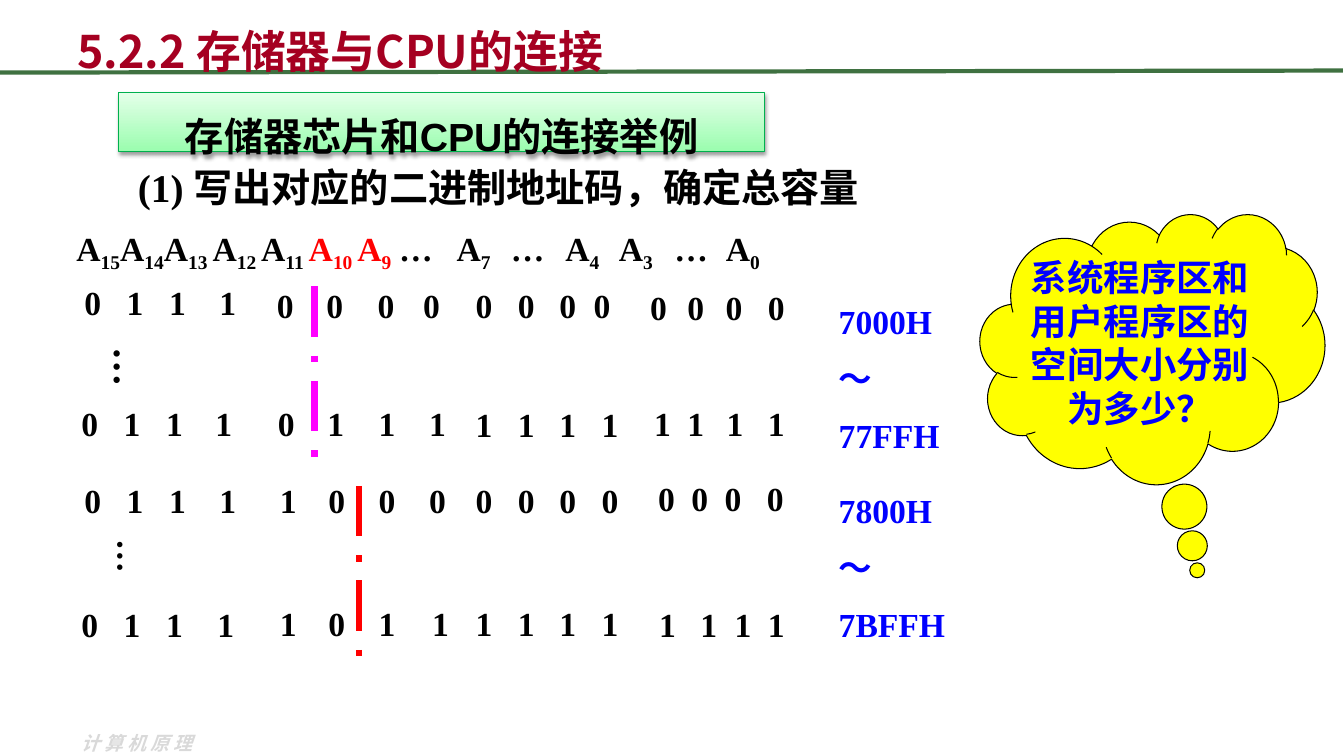
from lxml import etree
from pptx import Presentation
from pptx.dml.color import RGBColor
from pptx.enum.dml import MSO_LINE
from pptx.enum.shapes import MSO_CONNECTOR, MSO_SHAPE
from pptx.enum.text import MSO_ANCHOR, PP_ALIGN
from pptx.oxml.ns import qn
from pptx.util import Pt

PX = 9144  # EMU per px, 100 px to the inch

BLACK = RGBColor(0x00, 0x00, 0x00)
BLUE = RGBColor(0x00, 0x00, 0xFF)
RED = RGBColor(0xFF, 0x00, 0x00)
MAGENTA = RGBColor(0xFF, 0x00, 0xFF)
YELLOW = RGBColor(0xFF, 0xFF, 0x00)
CRIMSON = RGBColor(0xA5, 0x00, 0x21)
RULE_GREEN = RGBColor(0x3F, 0x71, 0x41)
BANNER_EDGE = RGBColor(0x00, 0xB0, 0x4E)
BANNER_TOP = RGBColor(0xE4, 0xFF, 0xE9)
BANNER_BOTTOM = RGBColor(0x9B, 0xFD, 0xAF)
FOOTER_GRAY = RGBColor(0xD9, 0xD9, 0xD9)

SANS, SERIF, ARIAL = "Noto Sans CJK SC", "Times New Roman", "Arial"
TOP, MIDDLE, BOTTOM = MSO_ANCHOR.TOP, MSO_ANCHOR.MIDDLE, MSO_ANCHOR.BOTTOM
LEFT, CENTER = PP_ALIGN.LEFT, PP_ALIGN.CENTER
RECTANGLE, CLOUD = MSO_SHAPE.RECTANGLE, MSO_SHAPE.CLOUD_CALLOUT
STRAIGHT, DASH_DOT = MSO_CONNECTOR.STRAIGHT, MSO_LINE.LONG_DASH_DOT

# Each row of address bits has four groups: digits, top, digit centres
NIBBLE_LEFTS = (71, 256, 454, 639)
BIT_ROWS = (
    (("0111", 275, (92, 134, 176, 226)), ("0000", 278, (283, 332, 383, 428)),
     ("0000", 278, (480, 522, 563, 597)), ("0000", 280, (653, 690, 728, 770))),
    (("0111", 395, (89, 131, 173, 222)), ("0111", 395, (284, 333, 384, 434)),
     ("1111", 396, (480, 522, 563, 605)), ("1111", 395, (657, 690, 729, 770))),
    (("0111", 471, (92, 134, 176, 226)), ("1000", 471, (286, 334, 384, 434)),
     ("0000", 471, (480, 522, 563, 605)), ("0000", 469, (661, 694, 727, 769))),
    (("0111", 594, (89, 131, 173, 224)), ("1011", 593, (286, 334, 384, 437)),
     ("1111", 593, (480, 522, 563, 605)), ("1111", 594, (662, 703, 737, 770))),
)

# Address line names: letter, subscript, colour
ADDRESS_LINES = (
    ("A", "15", BLACK), ("A", "14", BLACK), ("A", "13 ", BLACK),
    ("A", "12 ", BLACK), ("A", "11 ", BLACK), ("A", "10 ", RED),
    ("A", "9", RED), ("\t…\tA", "7", BLACK), ("\t…\tA", "4", BLACK),
    ("\tA", "3", BLACK), ("\t…\tA", "0", BLACK),
)
ADDRESS_TABS = (320, 377, 431, 485, 538, 593, 644)


def add_run(paragraph, text, size, font, color):
    run = paragraph.add_run()
    run.text = text
    run.font.size = Pt(size)
    run.font.bold = True
    run.font.color.rgb = color
    run.font.name = font
    properties = run._r.get_or_add_rPr()
    etree.SubElement(properties, qn("a:ea")).set("typeface", SANS)
    return run


def set_tabs(paragraph, positions, align):
    tab_list = etree.SubElement(paragraph._p.get_or_add_pPr(), qn("a:tabLst"))
    for position in positions:
        tab = etree.SubElement(tab_list, qn("a:tab"))
        tab.set("pos", str(position * PX))
        tab.set("algn", align)


def set_frame(frame, anchor=TOP, inset_x=10, inset_y=5):
    frame.word_wrap = True
    frame.vertical_anchor = anchor
    frame.margin_left = frame.margin_right = inset_x * PX
    frame.margin_top = frame.margin_bottom = inset_y * PX


def add_box(slide, left, top, width, height, anchor=TOP, inset_x=10):
    box = slide.shapes.add_textbox(left * PX, top * PX, width * PX, height * PX)
    set_frame(box.text_frame, anchor, inset_x)
    return box.text_frame


def add_label(slide, text, bounds, size, font, color, anchor=TOP, spacing=None):
    frame = add_box(slide, *bounds, anchor=anchor)
    paragraph = frame.paragraphs[0]
    paragraph.line_spacing = spacing
    return add_run(paragraph, text, size, font, color)


def add_line(slide, start, end, color, width, dash=None):
    line = slide.shapes.add_connector(
        STRAIGHT, start[0] * PX, start[1] * PX, end[0] * PX, end[1] * PX)
    line.line.color.rgb = color
    line.line.width = Pt(width)
    if dash is not None:
        line.line.dash_style = dash
    etree.SubElement(line._element.spPr, qn("a:effectLst"))


def add_text_shape(slide, kind, bounds, edge, text, size, font, color, inset):
    shape = slide.shapes.add_shape(kind, *(value * PX for value in bounds))
    shape.line.color.rgb = edge
    shape.line.width = Pt(0.75)
    shape.shadow.inherit = False
    set_frame(shape.text_frame, MIDDLE, *inset)
    paragraph = shape.text_frame.paragraphs[0]
    paragraph.alignment = CENTER
    add_run(paragraph, text, size, font, color)
    return shape


def add_banner(slide):
    banner = add_text_shape(slide, RECTANGLE, (118, 92, 640, 58), BANNER_EDGE,
                            "存储器芯片和CPU的连接举例", 28, ARIAL, BLACK, (10, 5))
    banner.text_frame.paragraphs[0].line_spacing = 1.6
    banner.fill.gradient()
    banner.fill.gradient_angle = 270
    for stop, color in zip(banner.fill.gradient_stops, (BANNER_TOP, BANNER_BOTTOM)):
        stop.color.rgb = color
    effects = banner._element.spPr.find(qn("a:effectLst"))
    shadow = etree.SubElement(effects, qn("a:outerShdw"), blurRad=str(Pt(3.1)),
                              dist=str(Pt(1.6)), dir="5400000", rotWithShape="0")
    shade = etree.SubElement(shadow, qn("a:srgbClr"), val="000000")
    etree.SubElement(shade, qn("a:alpha"), val="38000")


def add_address_header(slide):
    paragraph = add_box(slide, 66, 221, 865, 50).paragraphs[0]
    set_tabs(paragraph, ADDRESS_TABS, "l")
    for letter, subscript, color in ADDRESS_LINES:
        add_run(paragraph, letter, 24, SERIF, color)
        lowered = add_run(paragraph, subscript, 24, SERIF, color)
        lowered._r.get_or_add_rPr().set("baseline", "-25000")


def add_bits(slide, left, digits, top, centers):
    paragraph = add_box(slide, left, top, 220, 51, inset_x=0).paragraphs[0]
    set_tabs(paragraph, [center - left for center in centers], "ctr")
    add_run(paragraph, "".join("\t" + digit for digit in digits), 24, SERIF, BLACK)


def add_vertical_dots(slide, left, top, width, size):
    frame = add_box(slide, left, top, width, 75)
    frame._txBody.bodyPr.set("vert", "eaVert")
    add_run(frame.paragraphs[0], "…", size, SERIF, BLACK)


def add_range(slide, top, first, last):
    frame = add_box(slide, 822, top, 161, 165)
    for index, text in enumerate((first, "～", last)):
        paragraph = frame.paragraphs[0] if index == 0 else frame.add_paragraph()
        paragraph.alignment = LEFT
        paragraph.line_spacing = Pt(29)
        if index:
            paragraph.space_before = Pt(11.7)
        add_run(paragraph, text, 24, SERIF, BLUE)


def main():
    presentation = Presentation()
    presentation.slide_width = 1333 * PX
    presentation.slide_height = 750 * PX
    slide = presentation.slides.add_slide(presentation.slide_layouts[6])

    # Footer, header rule and title
    footer = add_label(slide, "计算机原理", (71, 721, 146, 34), 13.5, SANS, FOOTER_GRAY)
    footer.font.italic = True
    footer._r.get_or_add_rPr().set("spc", "300")
    add_line(slide, (0, 72), (1332, 70), RULE_GREEN, 3)
    add_label(slide, "5.2.2 存储器与CPU的连接", (67, -14, 1200, 96),
              32, SANS, CRIMSON, BOTTOM, 1.6)

    # Banner and step heading
    add_banner(slide)
    add_label(slide, "(1) 写出对应的二进制地址码，确定总容量", (127, 158, 867, 57),
              28, SERIF, BLACK, TOP, Pt(33))

    # Binary addresses
    add_address_header(slide)
    for row in BIT_ROWS:
        for left, nibble in zip(NIBBLE_LEFTS, row):
            add_bits(slide, left, *nibble)
    add_vertical_dots(slide, 90, 335, 67, 28)
    add_vertical_dots(slide, 94, 525, 61, 24)

    # Chip boundaries and hexadecimal ranges
    add_line(slide, (312, 284), (312, 453), MAGENTA, 4.5, DASH_DOT)
    add_line(slide, (356, 482), (356, 651), RED, 4.5, DASH_DOT)
    add_range(slide, 293, "7000H", "77FFH")
    add_range(slide, 481, "7800H", "7BFFH")

    # Question cloud
    cloud = add_text_shape(slide, CLOUD, (972, 212, 342, 268), BLACK,
                           "系统程序区和用户程序区的空间大小分别为多少？",
                           26, SANS, BLUE, (0, 0))
    cloud.fill.solid()
    cloud.fill.fore_color.rgb = YELLOW
    cloud.adjustments[0] = 0.13
    cloud.adjustments[1] = 0.82

    presentation.save("out.pptx")


if __name__ == "__main__":
    main()
